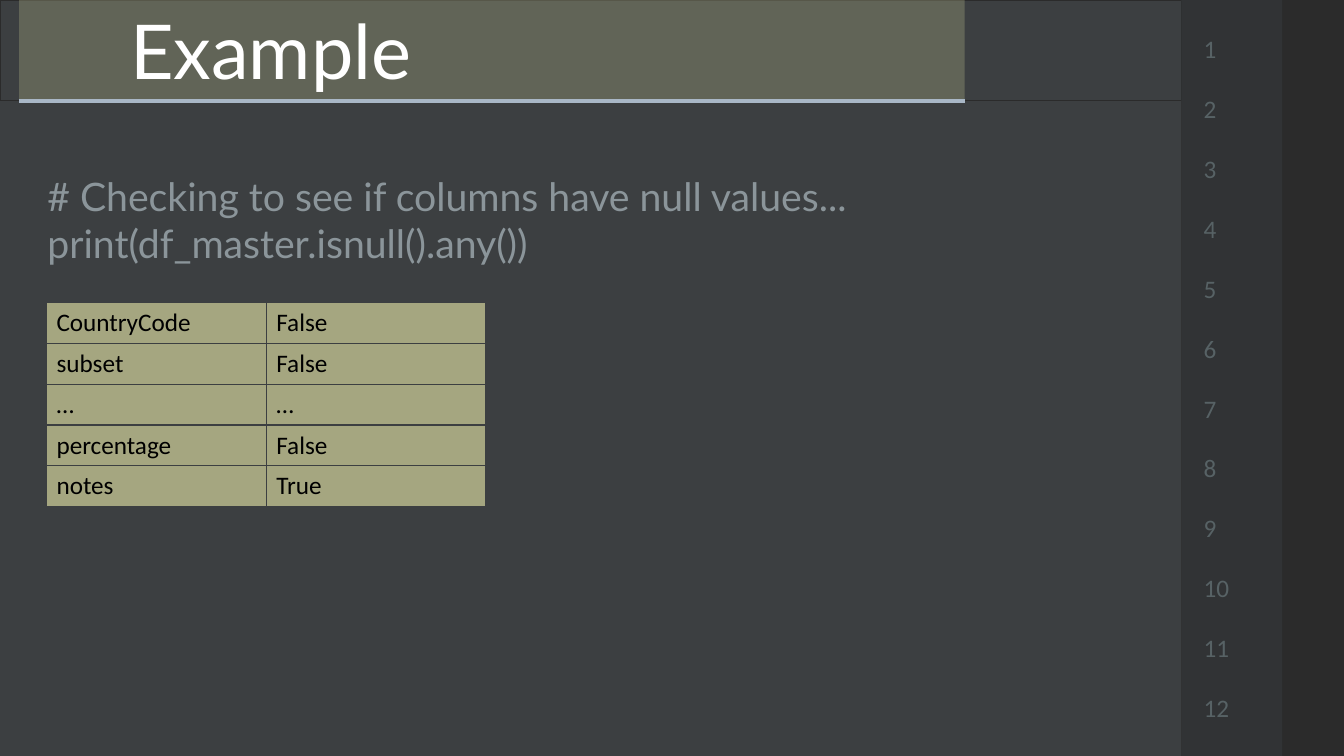
from lxml import etree
from pptx import Presentation
from pptx.dml.color import RGBColor
from pptx.enum.shapes import MSO_CONNECTOR, MSO_SHAPE
from pptx.enum.text import MSO_ANCHOR, PP_ALIGN
from pptx.oxml import parse_xml
from pptx.oxml.ns import nsdecls, qn
from pptx.util import Pt

COLORS = {
    "frame": "2B2B2B", "editor": "3C3F41", "gutter": "313335",
    "olive": "A5A680", "rule": "A9B7C6", "title": "FFFFFF",
    "number": "576265", "code": "8B959A", "cell": "000000",
}


def add_panel(left, top, width, height, color):
    panel = slide.shapes.add_shape(
        MSO_SHAPE.RECTANGLE, Pt(left), Pt(top), Pt(width), Pt(height))
    panel.shadow.inherit = False
    panel.fill.solid()
    panel.fill.fore_color.rgb = RGBColor.from_string(COLORS[color])
    panel.line.fill.background()
    return panel


def style_text(frame, font_name, size, color):
    for paragraph in frame.paragraphs:
        paragraph.alignment = PP_ALIGN.LEFT
        for run in paragraph.runs:
            run.font.name = font_name
            run.font.size = Pt(size)
            run.font.color.rgb = RGBColor.from_string(COLORS[color])


prs = Presentation()
prs.slide_width, prs.slide_height = Pt(960), Pt(540)
slide = prs.slides.add_slide(prs.slide_layouts[6])
slide.background.fill.solid()
slide.background.fill.fore_color.rgb = RGBColor.from_string(COLORS["frame"])

# Editor area and tab bar
add_panel(0, 70.6, 843.8, 469.4, "editor")
tab_bar = add_panel(0, 0, 843.8, 72, "editor")
tab_bar.line.color.rgb = RGBColor.from_string(COLORS["frame"])
tab_bar.line.width = Pt(1)

# Title tab, translucent
title = add_panel(13.7, 0, 675.3, 70.6, "olive")
tint = title.fill._xPr.find(qn("a:solidFill"))[0]
etree.SubElement(tint, qn("a:alpha")).set("val", "36000")
title.text_frame.text = "Example"
title.text_frame.margin_left = Pt(79.2)
title.text_frame.vertical_anchor = MSO_ANCHOR.MIDDLE
style_text(title.text_frame, "Lato", 54, "title")

# Gutter with line numbers
gutter = add_panel(843.8, 0, 72, 540, "gutter")
numbers = gutter.text_frame
numbers.text = "\n".join(str(n) for n in range(1, 13))
numbers.margin_left = Pt(16)
numbers.vertical_anchor = MSO_ANCHOR.MIDDLE
style_text(numbers, "Calibri", 18, "number")
for number in numbers.paragraphs[:-1]:
    number.space_after = Pt(21.2)

# Rule under the title
rule = slide.shapes.add_connector(
    MSO_CONNECTOR.STRAIGHT, Pt(13.7), Pt(72), Pt(689), Pt(72))
rule.line.color.rgb = RGBColor.from_string(COLORS["rule"])
rule.line.width = Pt(2.75)
etree.SubElement(rule._element.spPr, qn("a:effectLst"))

# Code
code = slide.shapes.add_textbox(Pt(26.8), Pt(119.5), Pt(789), Pt(75)).text_frame
code.word_wrap = True
code.text = ("# Checking to see if columns have null values...\n"
             "print(df_master.isnull().any())")
style_text(code, "Lato", 28, "code")

# Output table
results = [("CountryCode", "False"), ("subset", "False"), ("…", "…"),
           ("percentage", "False"), ("notes", "True")]
output = slide.shapes.add_table(
    len(results), 2, Pt(33.2), Pt(216), Pt(314), Pt(146)).table
output.first_row = output.horz_banding = False
for row, values in zip(output.rows, results):
    row.height = Pt(29.2)
    for cell, value in zip(row.cells, values):
        cell.text = value
        style_text(cell.text_frame, "Calibri", 18, "cell")
        properties = cell._tc.get_or_add_tcPr()
        for side in ("lnL", "lnR", "lnT", "lnB"):
            properties.append(parse_xml(
                f'<a:{side} {nsdecls("a")} w="12700"><a:solidFill>'
                f'<a:srgbClr val="{COLORS["editor"]}"/></a:solidFill></a:{side}>'))
        cell.fill.solid()
        cell.fill.fore_color.rgb = RGBColor.from_string(COLORS["olive"])

prs.save("out.pptx")
